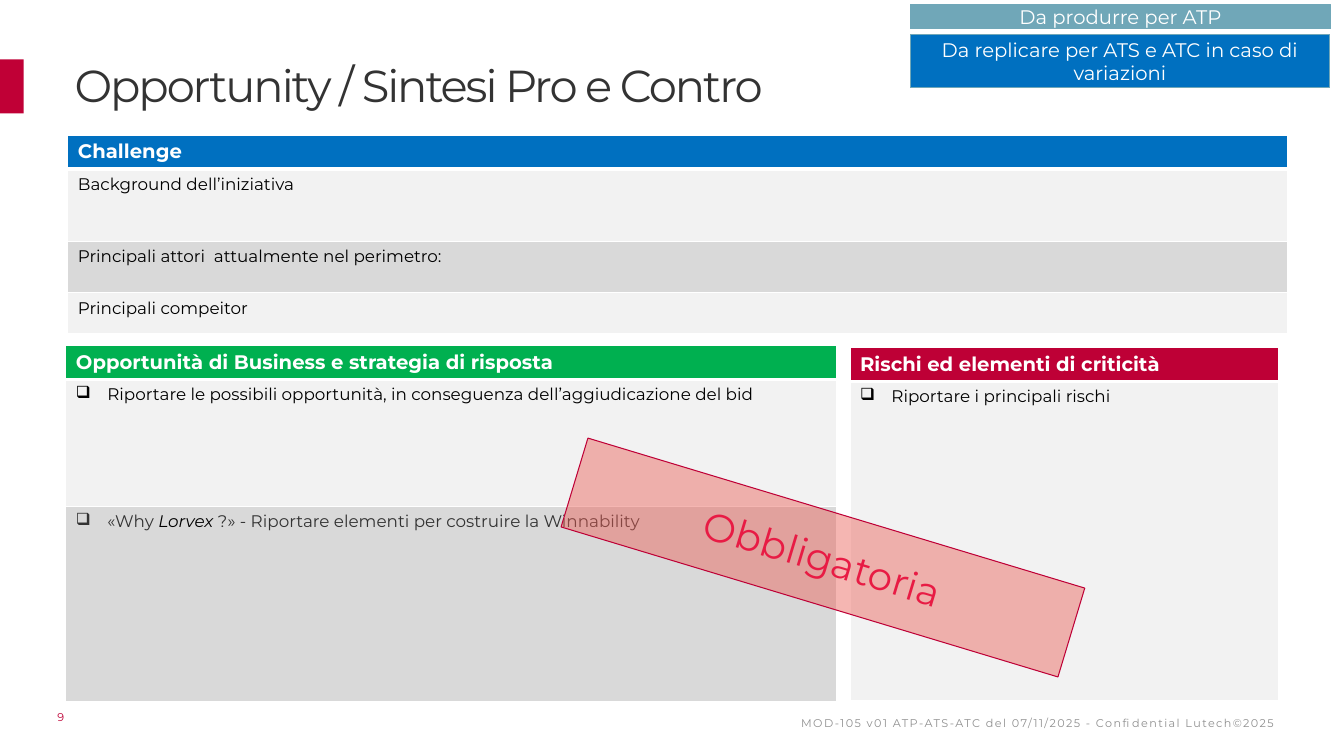
from pptx import Presentation
from pptx.dml.color import RGBColor as Rgb
from pptx.enum.shapes import MSO_SHAPE as Shape
from pptx.enum.text import MSO_ANCHOR as Anchor, MSO_AUTO_SIZE as Fit, PP_ALIGN as Align
from pptx.oxml.ns import qn
from pptx.util import Cm, Pt
from lxml.etree import SubElement as Sub

FONT = "Montserrat"
BLUE, GREEN, RED, TEAL = "0070C0", "00B050", "BE0036", "70A7B8"
LIGHT, GREY, DARK, BLACK, WHITE = "F2F2F2", "D9D9D9", "333333", "000000", "FFFFFF"


def paint(item, tone):
    """Give a fill or a font a solid colour."""
    if hasattr(item, "solid"):
        item.solid()
        item.fore_color.rgb = Rgb.from_string(tone)
    else:
        item.color.rgb = Rgb.from_string(tone)


def add_run(para, text, size, tone, bold=False, slant=False, gap=None):
    run = para.add_run()
    run.text = text
    font = run.font
    font.name, font.size, font.bold, font.italic = FONT, Pt(size), bold, slant
    paint(font, tone)
    if gap is not None:
        run._r.get_or_add_rPr().set("spc", str(int(gap * 100)))


def set_frame(frame, align, anchor=Anchor.MIDDLE):
    """Set the frame without insets and return its first paragraph."""
    frame.word_wrap = True
    frame.auto_size = Fit.NONE
    frame.vertical_anchor = anchor
    frame.margin_left = frame.margin_right = 0
    frame.margin_top = frame.margin_bottom = 0
    para = frame.paragraphs[0]
    para.alignment = align
    return para


def add_title(slide, text, *box):
    title = slide.shapes.title
    title.left, title.top, title.width, title.height = map(Cm, box)
    para = set_frame(title.text_frame, Align.LEFT)
    add_run(para, text, 32, DARK, gap=-1.5)


def add_note(slide, text, tone, align, box, gap=None):
    note = slide.shapes.add_textbox(*map(Cm, box))
    add_run(set_frame(note.text_frame, align), text, 8, tone, gap=gap)


def add_rect(slide, box, fill, line=None, alpha=None, turn=0):
    rect = slide.shapes.add_shape(Shape.RECTANGLE, *map(Cm, box))
    rect.shadow.inherit = False
    rect.rotation = turn
    paint(rect.fill, fill)
    if line:
        paint(rect.line.fill, line)
        rect.line.width = Pt(0.75)
    else:
        rect.line.fill.background()
    if alpha:
        tint = rect._element.spPr.find(qn("a:solidFill"))[0]
        Sub(tint, qn("a:alpha"), val=str(alpha * 1000))
    return rect


def add_label(slide, text, size, tone, *args, **opts):
    rect = add_rect(slide, *args, **opts)
    add_run(set_frame(rect.text_frame, Align.CENTER), text, size, tone)


def set_edges(cell, base):
    """Draw white cell borders; base is the width of the bottom one."""
    props = cell._tc.get_or_add_tcPr()
    for spot, (side, width) in enumerate(zip("LRTB", (1, 1, 1, base))):
        line = Sub(props, qn(f"a:ln{side}"), w=str(Pt(width)))
        Sub(Sub(line, qn("a:solidFill")), qn("a:srgbClr"), val=WHITE)
        props.insert(spot, line)


def set_bullet(para):
    props = para._p.get_or_add_pPr()
    props.set("marL", str(Cm(0.79)))
    props.set("indent", str(-Cm(0.79)))
    Sub(props, qn("a:buChar"), char="❑")


def add_panel(slide, left, top, width, head, tone, rows, bullet=False):
    """Add a table with a coloured head; rows hold height, fill and runs."""
    rows = [(0.8, tone, [(head, WHITE)])] + rows
    high = sum(row[0] for row in rows)
    box = map(Cm, (left, top, width, high))
    table = slide.shapes.add_table(len(rows), 1, *box).table
    table.first_row = table.horz_banding = False
    for num, (tall, fill, runs) in enumerate(rows):
        table.rows[num].height = Cm(tall)
        cell = table.cell(num, 0)
        paint(cell.fill, fill)
        set_edges(cell, 1 if num else 3)
        para = cell.text_frame.paragraphs[0]
        if bullet and num:
            set_bullet(para)
        for text, hue, *slant in runs:
            add_run(para, text, 12 if num else 14, hue, not num, bool(slant))


def main():
    deck = Presentation()
    deck.slide_width, deck.slide_height = Cm(33.87), Cm(19.05)
    slide = deck.slides.add_slide(deck.slide_layouts[5])

    # Title, side bar and footer
    add_title(slide, "Opportunity / Sintesi Pro e Contro", 1.88, 1.45, 20.5, 1.35)
    add_rect(slide, (0, 1.5, 0.6, 1.36), "C00036")
    add_note(slide, "MOD-105 v01 ATP-ATS-ATC del 07/11/2025 - Confidential Lutech©2025",
             "909090", Align.RIGHT, (18.26, 17.91, 13.87, 0.61), gap=1)
    add_note(slide, "9", RED, Align.LEFT, (1.45, 17.9, 0.69, 0.33))

    # Tables
    add_panel(slide, 1.71, 3.4, 30.73, "Challenge", BLUE, [
        (1.82, LIGHT, [("Background dell’iniziativa", BLACK)]),
        (1.3, GREY, [("Principali attori  attualmente nel perimetro:", BLACK)]),
        (1.02, LIGHT, [("Principali compeitor", BLACK)])])
    add_panel(slide, 21.42, 8.76, 10.8, "Rischi ed elementi di criticità", RED, [
        (8.04, LIGHT, [("Riportare i principali rischi", BLACK)])], bullet=True)
    add_panel(slide, 1.66, 8.71, 19.43,
              "Opportunità di Business e strategia di risposta", GREEN, [
        (3.2, LIGHT, [("Riportare le possibili opportunità, in conseguenza "
                       "dell’aggiudicazione del bid", BLACK)]),
        (4.92, GREY, [("«Why ", DARK), ("Lorvex", BLACK, True),
                      (" ?» - Riportare elementi per costruire la Winnability", DARK)])],
              bullet=True)

    # Labels and stamp
    add_label(slide, "Da produrre per ATP", 14, WHITE,
              (22.94, 0.12, 10.6, 0.61), TEAL, TEAL)
    add_label(slide, "Da replicare per ATS e ATC in caso di variazioni", 14, WHITE,
              (22.94, 0.87, 10.57, 1.34), BLUE, TEAL)
    add_label(slide, "Obbligatoria", 28, "E81B44", (14.2, 12.88, 13.08, 2.34),
              "EB5E55", RED, alpha=45, turn=16.8)

    deck.save("out.pptx")


if __name__ == "__main__":
    main()
